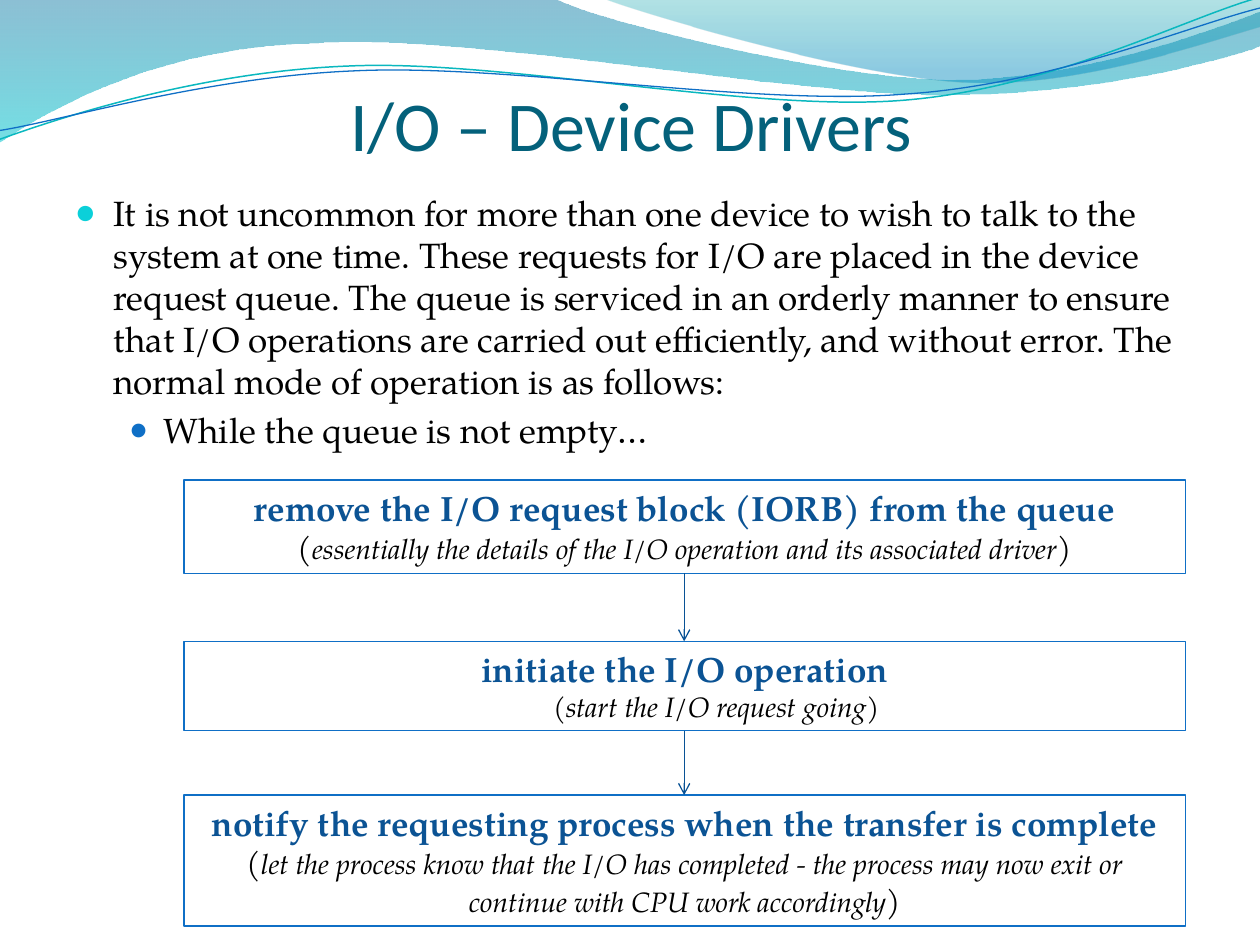
import lxml.etree
import pptx
import pptx.dml.color
import pptx.enum.shapes
import pptx.enum.text
import pptx.oxml.ns
import pptx.util

SCALE = 9144


def px(length):
    return pptx.util.Emu(length * SCALE)


def color(value):
    return pptx.dml.color.RGBColor.from_string(value)


def add_xml(parent, tag, **attributes):
    return lxml.etree.SubElement(parent, pptx.oxml.ns.qn(tag), attributes)


class DeckSlide:
    title_font = "Calibri"
    body_font = "TeX Gyre Pagella"
    title_color = "04617B"
    heading_color = "0B5394"
    text_color = "000000"
    border_color = "0F6FC6"
    arrow_color = "095295"

    def __init__(self, presentation):
        self.slide = presentation.slides.add_slide(presentation.slide_layouts[5])
        self.shapes = self.slide.shapes

    def style(self, font, size, value, bold=False, italic=False, name=None):
        font.name = name or self.body_font
        font.size = pptx.util.Pt(size)
        font.bold = bold
        font.italic = italic
        font.color.rgb = color(value)

    def outline(self, start, segments, close):
        builder = self.shapes.build_freeform(*start, scale=SCALE)
        builder.add_line_segments([point for segment in segments for point in segment], close=close)
        shape = builder.convert_to_shape()
        shape.shadow.inherit = False
        lines = iter(list(shape._element.iter(pptx.oxml.ns.qn("a:lnTo"))))
        for segment in segments:
            group = [next(lines) for point in segment]
            if len(group) == 3:
                curve = lxml.etree.Element(pptx.oxml.ns.qn("a:cubicBezTo"))
                group[0].addprevious(curve)
                for line in group:
                    curve.append(line[0])
                    line.getparent().remove(line)
        return shape

    def wave(self, start, segments, stops):
        shape = self.outline(start, segments, True)
        shape.line.fill.background()
        shape.fill.gradient()
        shape.fill.gradient_angle = 270
        for stop, (position, value, opacity) in zip(shape.fill.gradient_stops, stops):
            stop.position = position
            stop.color.rgb = color(value)
            rgb = stop._gs.find(pptx.oxml.ns.qn("a:srgbClr"))
            add_xml(rgb, "a:alpha", val=str(opacity * 1000))

    def ribbon(self, start, segments, value, width):
        shape = self.outline(start, segments, False)
        shape.rotation = 357.3
        shape.fill.background()
        shape.line.color.rgb = color(value)
        shape.line.width = pptx.util.Pt(width)

    def title(self, text, left, top, width, height):
        shape = self.shapes.title
        shape.left, shape.top, shape.width, shape.height = map(px, (left, top, width, height))
        frame = shape.text_frame
        frame.text = text
        frame.vertical_anchor = pptx.enum.text.MSO_ANCHOR.BOTTOM
        frame.margin_left = frame.margin_right = frame.margin_bottom = 0
        frame.margin_top = px(5)
        paragraph = frame.paragraphs[0]
        paragraph.alignment = pptx.enum.text.PP_ALIGN.CENTER
        self.style(paragraph.font, 40, self.title_color, name=self.title_font)
        self.shapes._spTree.append(shape._element)

    def bullets(self, items, left, top, width, height):
        frame = self.shapes.add_textbox(*map(px, (left, top, width, height))).text_frame
        frame.word_wrap = True
        for level, (text, margin, hanging, value, percent) in enumerate(items):
            paragraph = frame.add_paragraph() if level else frame.paragraphs[0]
            paragraph.text = text
            paragraph.level = level
            if level:
                paragraph.space_before = pptx.util.Pt(4)
            properties = paragraph._p.get_or_add_pPr()
            properties.set("marL", str(px(margin)))
            properties.set("indent", str(px(-hanging)))
            add_xml(add_xml(properties, "a:buClr"), "a:srgbClr", val=value)
            add_xml(properties, "a:buSzPct", val=str(percent * 1000))
            add_xml(properties, "a:buFont", typeface=self.title_font)
            add_xml(properties, "a:buChar", char="●")
            self.style(paragraph.font, 20, self.text_color)

    def step(self, heading, left, top, width, height):
        shape = self.shapes.add_shape(
            pptx.enum.shapes.MSO_SHAPE.RECTANGLE, *map(px, (left, top, width, height)))
        shape.shadow.inherit = False
        shape.fill.background()
        shape.line.color.rgb = color(self.border_color)
        shape.line.width = pptx.util.Pt(0.75)
        frame = shape.text_frame
        frame.word_wrap = True
        frame.auto_size = pptx.enum.text.MSO_AUTO_SIZE.SHAPE_TO_FIT_TEXT
        frame.vertical_anchor = pptx.enum.text.MSO_ANCHOR.TOP
        paragraph = frame.paragraphs[0]
        paragraph.alignment = pptx.enum.text.PP_ALIGN.CENTER
        run = paragraph.add_run()
        run.text = heading
        self.style(run.font, 20, self.heading_color, bold=True)
        return frame

    def bracketed_detail(self, frame, text):
        paragraph = frame.paragraphs[0]
        paragraph.add_line_break()
        for part, size, italic in (("(", 18, False), (text, 16, True), (")", 18, False)):
            run = paragraph.add_run()
            run.text = part
            self.style(run.font, size, self.text_color, italic=italic)

    def indented_detail(self, frame, text):
        paragraph = frame.add_paragraph()
        paragraph.text = text
        paragraph.level = 1
        paragraph.alignment = pptx.enum.text.PP_ALIGN.CENTER
        properties = paragraph._p.get_or_add_pPr()
        properties.set("marL", str(px(50)))
        properties.set("indent", "0")
        self.style(paragraph.font, 16, self.text_color, italic=True)

    def arrow(self, x, top, bottom):
        connector = self.shapes.add_connector(
            pptx.enum.shapes.MSO_CONNECTOR.STRAIGHT, *map(px, (x, top, x, bottom)))
        connector.line.color.rgb = color(self.arrow_color)
        connector.line.width = pptx.util.Pt(0.75)
        add_xml(connector.line._get_or_add_ln(), "a:tailEnd", type="arrow")
        add_xml(connector._element.spPr, "a:effectLst")


def main():
    presentation = pptx.Presentation()
    presentation.slide_width, presentation.slide_height = px(1000), px(750)
    deck = DeckSlide(presentation)

    deck.wave((0, 0), (
        ((440, -1),),
        ((476, 17), (664, 63), (758, 63)), ((853, 63), (958, 26), (1000, 9)),
        ((1001, 36),),
        ((983, 44), (870, 76), (746, 75)), ((622, 75), (382, 28), (257, 34)),
        ((129, 36), (46, 83), (-1, 113))), ((0, "0074A1", 45), (1, "00C6CF", 55)))
    deck.wave((479, -1), (
        ((509, 11), (682, 62), (769, 65)), ((856, 69), (961, 32), (1000, 21)),
        ((1000, 0),)), ((0, "00A1A9", 30), (0.8, "008BBF", 45)))
    deck.ribbon((-2, 87), (
        ((47, 72), (158, 41), (277, 42)), ((396, 42), (591, 93), (712, 90)),
        ((832, 87), (940, 36), (1000, 22))), "0AB8BF", 0.85)
    deck.ribbon((-2, 80), (
        ((46, 75), (164, 45), (283, 46)), ((403, 46), (596, 89), (716, 85)),
        ((835, 83), (942, 42), (1002, 30))), "0F6FC6", 0.75)

    deck.title("I/O – Device Drivers", 51, 52, 900, 79)
    deck.bullets((
        ("It is not uncommon for more than one device to wish to talk to the system at one time. "
         "These requests for I/O are placed in the device request queue. The queue is serviced in "
         "an orderly manner to ensure that I/O operations are carried out efficiently, and without "
         "error. The normal mode of operation is as follows:", 30, 30, "0BD0D9", 95),
        ("While the queue is not empty…", 70, 27, "0F6FC6", 85)), 50, 147, 900, 591)

    left, width = 146, 795
    steps = (
        (381, 74, "remove the I/O request block (IORB) from the queue", deck.bracketed_detail,
         "essentially the details of the I/O operation and its associated driver"),
        (509, 71, "initiate the I/O operation", deck.indented_detail,
         "(start the I/O request going)"),
        (631, 104, "notify the requesting process when the transfer is complete",
         deck.bracketed_detail, "let the process know that the I/O has completed - the process "
         "may now exit or continue with CPU work accordingly"))
    for top, height, heading, add_detail, detail in steps:
        add_detail(deck.step(heading, left, top, width, height), detail)
    for upper, lower in zip(steps, steps[1:]):
        deck.arrow(left + width // 2, upper[0] + upper[1], lower[0])

    presentation.save("out.pptx")


if __name__ == "__main__":
    main()
